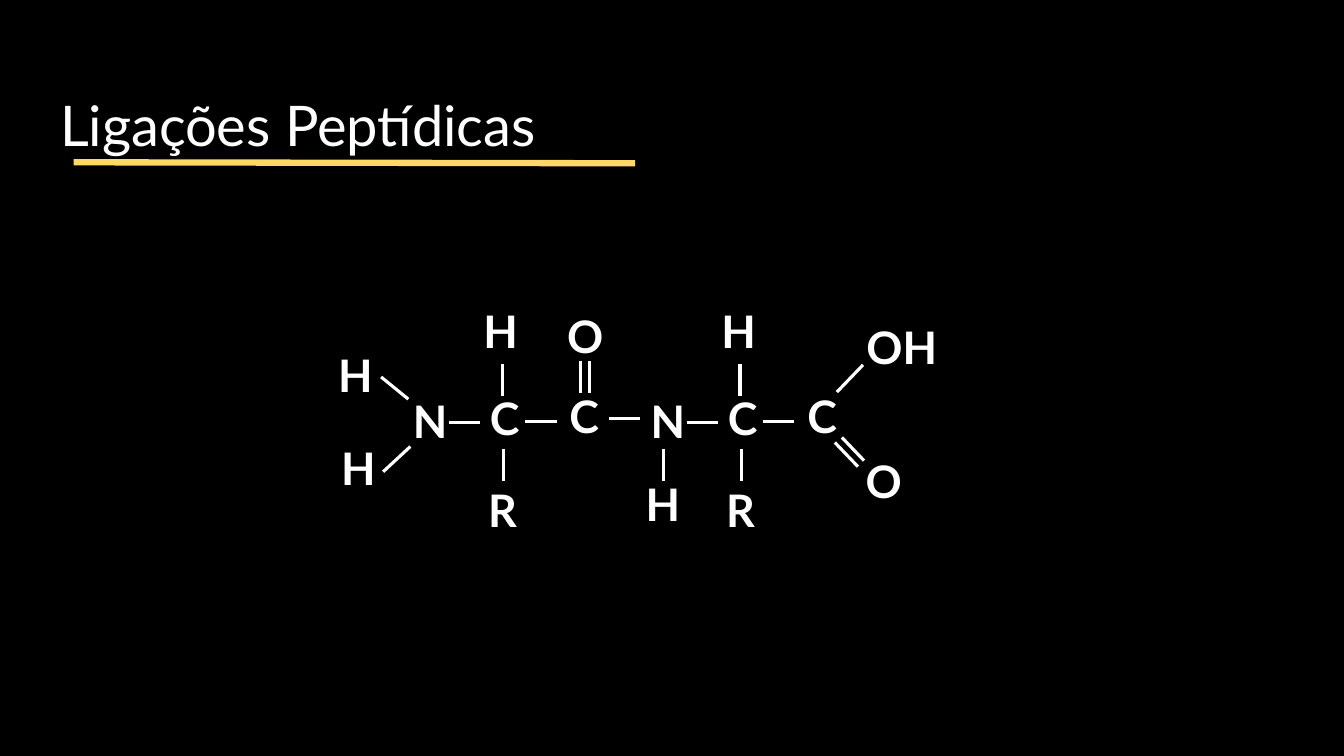
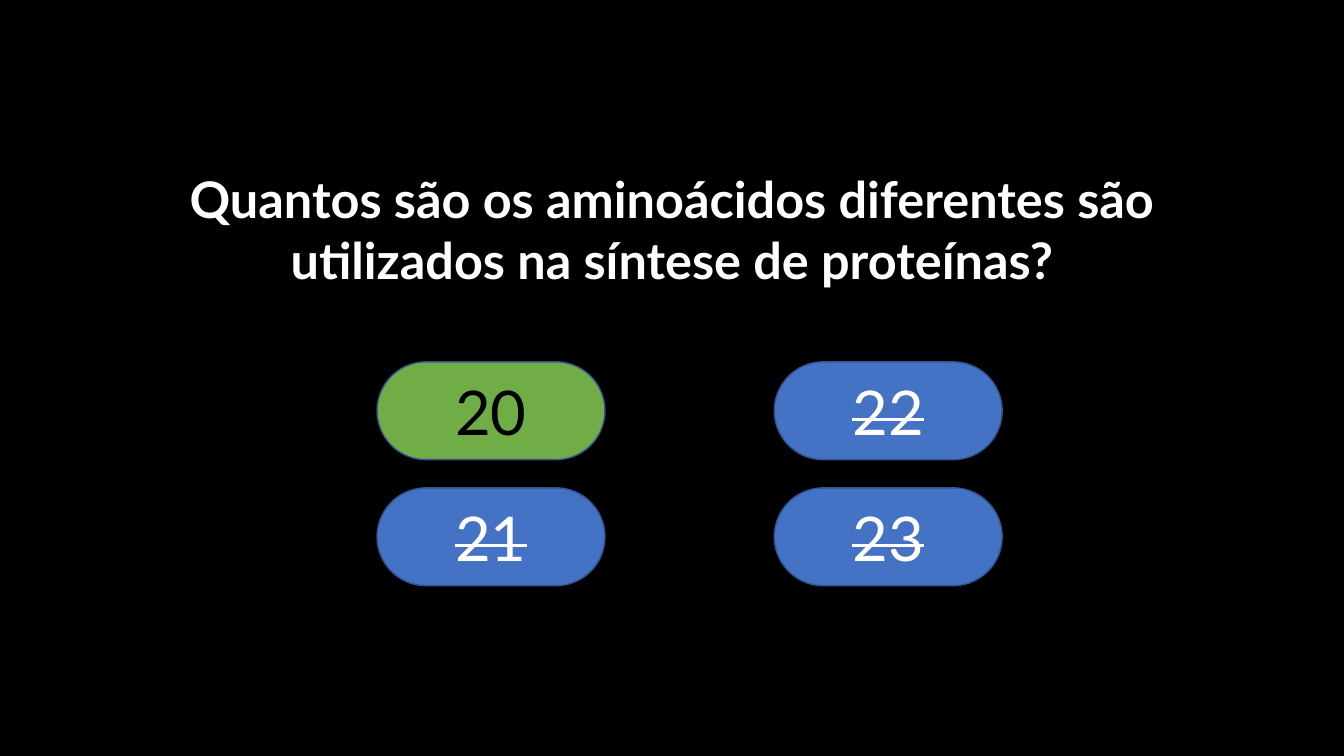
"""Build two slides on peptide bonds: a dipeptide structure and a quiz question."""
from typing import NamedTuple

from lxml import etree
from pptx import Presentation
from pptx.dml.color import RGBColor
from pptx.enum.shapes import MSO_CONNECTOR, MSO_SHAPE
from pptx.enum.text import MSO_ANCHOR, MSO_AUTO_SIZE, PP_ALIGN
from pptx.oxml.ns import qn
from pptx.presentation import Presentation as Deck
from pptx.slide import Slide
from pptx.text.text import TextFrame
from pptx.util import Inches, Pt

STRAIGHT = MSO_CONNECTOR.STRAIGHT
PILL = MSO_SHAPE.ROUNDED_RECTANGLE
CENTER = PP_ALIGN.CENTER
TOP, MIDDLE = MSO_ANCHOR.TOP, MSO_ANCHOR.MIDDLE
NO_RESIZE = MSO_AUTO_SIZE.NONE

FONT = "Lato"
TITLE_ONLY = 5
COLORS = {
    "background": "000000",
    "text": "FFFFFF",
    "dark_text": "000000",
    "accent": "FFD966",
    "option": "4472C4",
    "correct": "70AD47",
    "outline": "325491",
}


class Atom(NamedTuple):
    symbol: str
    left: float
    top: float


class Bond(NamedTuple):
    x1: float
    y1: float
    x2: float
    y2: float


class Option(NamedTuple):
    label: str
    column: int
    row: int
    correct: bool = False


ATOM_WIDTHS = {"C": 0.69, "N": 0.69, "O": 0.77, "H": 0.51, "R": 0.51, "OH": 1.13}
ATOM_HEIGHT = 0.64
RESIDUE_STEP = 2.36
RESIDUE_COUNT = 2

RESIDUE_ATOMS = [
    Atom("N", 3.92, 3.86),
    Atom("C", 4.66, 3.83),
    Atom("H", 4.71, 2.96),
    Atom("R", 4.73, 4.74),
    Atom("C", 5.45, 3.81),
]
RESIDUE_BONDS = [
    Bond(4.45, 4.19, 4.76, 4.19),
    Bond(5.21, 4.18, 5.52, 4.18),
    Bond(4.98, 3.61, 4.98, 3.93),
    Bond(4.99, 4.45, 4.99, 4.77),
]
END_ATOMS = [
    Atom("H", 3.27, 3.4),
    Atom("H", 3.3, 4.32),
    Atom("O", 5.42, 3.01),
    Atom("H", 6.32, 4.68),
    Atom("OH", 8.38, 3.12),
    Atom("O", 8.38, 4.45),
]
END_BONDS = [
    Bond(3.78, 3.74, 4.05, 3.96),
    Bond(3.8, 4.68, 4.07, 4.43),
    Bond(5.76, 3.58, 5.76, 3.9),
    Bond(5.85, 3.58, 5.85, 3.9),
    Bond(6.04, 4.15, 6.35, 4.15),
    Bond(6.58, 4.45, 6.58, 4.77),
    Bond(8.3, 3.89, 8.56, 3.62),
    Bond(8.35, 4.34, 8.57, 4.57),
    Bond(8.28, 4.39, 8.51, 4.63),
]

OPTIONS = [
    Option("20", 0, 0, correct=True),
    Option("21", 0, 1),
    Option("22", 1, 0),
    Option("23", 1, 1),
]
OPTION_LEFT, OPTION_TOP = 3.74, 3.59
OPTION_WIDTH, OPTION_HEIGHT = 2.26, 0.97
COLUMN_STEP, ROW_STEP = 3.94, 1.25


def rgb(name: str) -> RGBColor:
    return RGBColor.from_string(COLORS[name])


def write_text(frame: TextFrame, text: str, *, size: float, color: str = "text",
               bold: bool = False, strike: bool = False, spacing: float = 1.0,
               anchor: MSO_ANCHOR = TOP) -> None:
    frame.word_wrap = True
    frame.auto_size = NO_RESIZE
    frame.vertical_anchor = anchor
    para = frame.paragraphs[0]
    para.alignment = CENTER
    para.line_spacing = spacing
    span = para.add_run()
    span.text = text
    span.font.name = FONT
    span.font.size = Pt(size)
    span.font.bold = bold
    span.font.color.rgb = rgb(color)
    if strike:
        span._r.get_or_add_rPr().set("strike", "sngStrike")


def add_page(deck: Deck, title: str, left: float, top: float, width: float,
             height: float, *, size: float, bold: bool = False,
             spacing: float = 1.0) -> Slide:
    page = deck.slides.add_slide(deck.slide_layouts[TITLE_ONLY])
    box = page.shapes.title
    box.left, box.top = Inches(left), Inches(top)
    box.width, box.height = Inches(width), Inches(height)
    write_text(box.text_frame, title, size=size, bold=bold, spacing=spacing)
    return page


def add_line(page: Slide, bond: Bond, *, color: str = "text", weight: float = 2.25) -> None:
    line = page.shapes.add_connector(STRAIGHT, *(Inches(value) for value in bond))
    line.line.color.rgb = rgb(color)
    line.line.width = Pt(weight)
    etree.SubElement(line._element.spPr, qn("a:effectLst"))


def add_atom(page: Slide, atom: Atom) -> None:
    box = page.shapes.add_textbox(Inches(atom.left), Inches(atom.top),
                                  Inches(ATOM_WIDTHS[atom.symbol]), Inches(ATOM_HEIGHT))
    box.text_frame.margin_left = box.text_frame.margin_right = 0
    write_text(box.text_frame, atom.symbol, size=32, bold=True)


def add_option(page: Slide, option: Option) -> None:
    pill = page.shapes.add_shape(
        PILL,
        Inches(OPTION_LEFT + option.column * COLUMN_STEP),
        Inches(OPTION_TOP + option.row * ROW_STEP),
        Inches(OPTION_WIDTH), Inches(OPTION_HEIGHT))
    pill.adjustments[0] = 0.5
    pill.shadow.inherit = False
    pill.fill.solid()
    pill.fill.fore_color.rgb = rgb("correct" if option.correct else "option")
    pill.line.color.rgb = rgb("outline")
    pill.line.width = Pt(1)
    write_text(pill.text_frame, option.label, size=44, anchor=MIDDLE,
               color="dark_text" if option.correct else "text",
               strike=not option.correct)


def build_peptide_page(deck: Deck) -> None:
    page = add_page(deck, "Ligações Peptídicas", 0, 0.51, 5.91, 1.02, size=40, spacing=1.5)
    add_line(page, Bond(0.73, 1.61, 6.3, 1.62), color="accent", weight=4.5)
    atoms, bonds = list(END_ATOMS), list(END_BONDS)
    for index in range(RESIDUE_COUNT):
        shift = index * RESIDUE_STEP
        atoms += [atom._replace(left=atom.left + shift) for atom in RESIDUE_ATOMS]
        bonds += [bond._replace(x1=bond.x1 + shift, x2=bond.x2 + shift)
                  for bond in RESIDUE_BONDS]
    for atom in atoms:
        add_atom(page, atom)
    for bond in bonds:
        add_line(page, bond)


def build_quiz_page(deck: Deck) -> None:
    page = add_page(
        deck,
        "Quantos são os aminoácidos diferentes são utilizados na síntese de proteínas?",
        1.28, 1.62, 10.77, 1.31, size=36, bold=True)
    for option in OPTIONS:
        add_option(page, option)


def main() -> None:
    deck = Presentation()
    deck.slide_width, deck.slide_height = Inches(13.33), Inches(7.5)
    background = deck.slide_master.background.fill
    background.solid()
    background.fore_color.rgb = rgb("background")
    build_peptide_page(deck)
    build_quiz_page(deck)
    deck.save("out.pptx")


if __name__ == "__main__":
    main()
